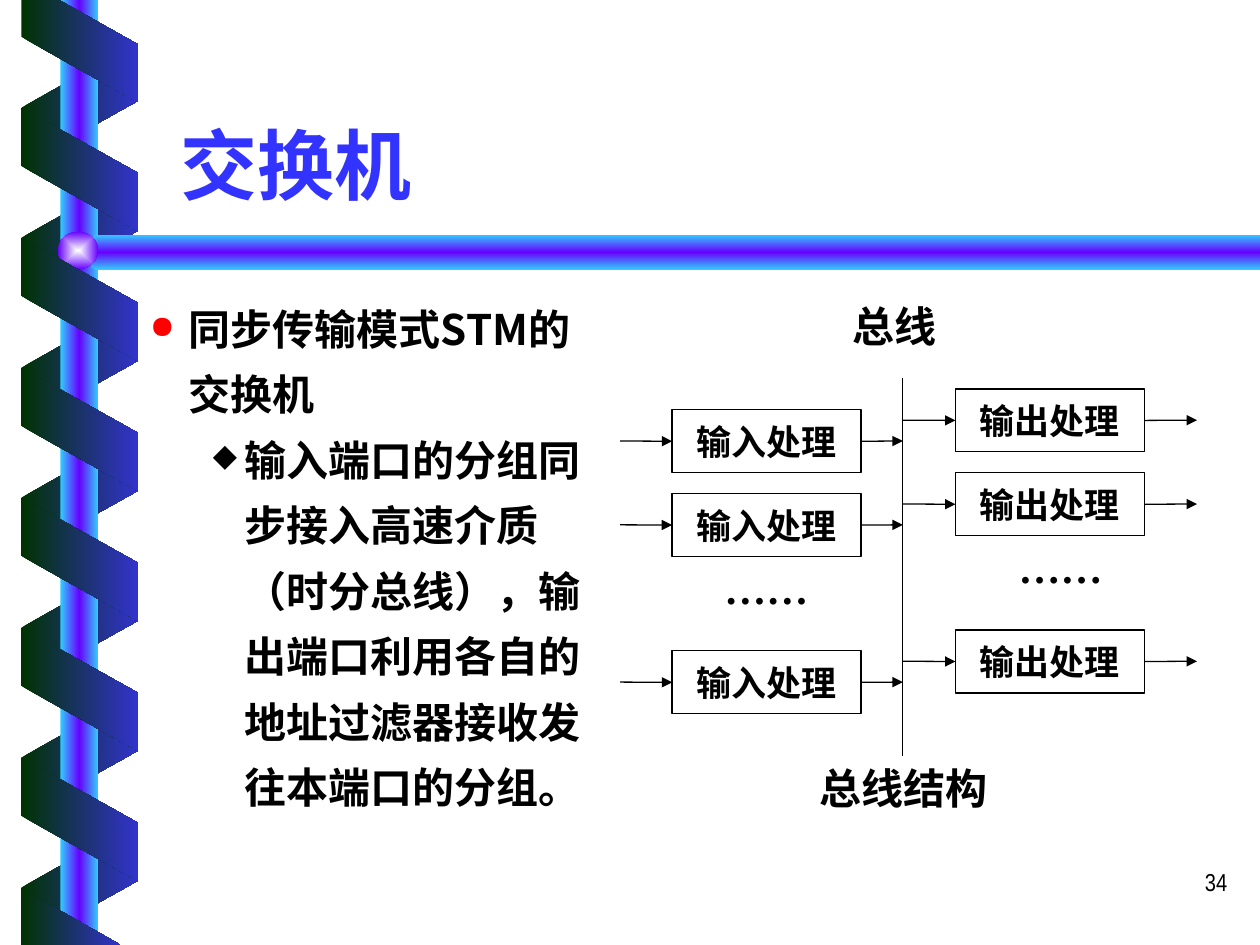
"""Build the slide on the bus structure of a synchronous switch."""
from lxml import etree
from pptx import Presentation
from pptx.dml.color import RGBColor
from pptx.enum.shapes import MSO_CONNECTOR, MSO_SHAPE
from pptx.enum.text import MSO_ANCHOR, PP_ALIGN
from pptx.oxml.ns import qn
from pptx.util import Cm, Pt

RECT, OVAL, PARA = MSO_SHAPE.RECTANGLE, MSO_SHAPE.OVAL, MSO_SHAPE.PARALLELOGRAM
STRAIGHT = MSO_CONNECTOR.STRAIGHT
LEFT, CENTER, RIGHT = PP_ALIGN.LEFT, PP_ALIGN.CENTER, PP_ALIGN.RIGHT
TOP, MIDDLE, BOTTOM = MSO_ANCHOR.TOP, MSO_ANCHOR.MIDDLE, MSO_ANCHOR.BOTTOM

COLORS = {
    "title": "3333FF", "text": "000000", "bullet": "FF0000",
    "green": "003300", "blue": "3333CC", "cyan": "33CCFF",
    "violet": "6600FF", "glow": "FEFFFF",
}
SANS, SERIF, NARROW = "Noto Sans CJK SC", "Times New Roman", "Arial Narrow"
RIBBON = ("green", "blue")
TUBE = ("cyan", "violet", "cyan")


def sub(parent, tag, **attrs):
    """Append a child element with the given attributes."""
    e = etree.SubElement(parent, qn(tag))
    for key, value in attrs.items():
        e.set(key, str(value))
    return e


class Deck:
    """Holds the style and the current slide."""

    def __init__(self):
        self.prs = Presentation()
        self.prs.slide_width, self.prs.slide_height = Cm(25.4), Cm(19.05)
        self.slide = self.prs.slides.add_slide(self.prs.slide_layouts[5])
        self.shapes = self.slide.shapes

    def color(self, name):
        return RGBColor.from_string(COLORS[name])

    def gradient(self, s, names, angle=None):
        """Fill a shape with evenly spaced colours, from its centre if no angle is given."""
        s.shadow.inherit = False
        s.line.fill.background()
        s.fill.background()
        old = s.element.spPr.find(qn("a:noFill"))
        fill = etree.Element(qn("a:gradFill"), rotWithShape="1")
        stops = sub(fill, "a:gsLst")
        for i, name in enumerate(names):
            stop = sub(stops, "a:gs", pos=100000 * i // (len(names) - 1))
            sub(stop, "a:srgbClr", val=COLORS[name])
        if angle is None:
            sub(sub(fill, "a:path", path="rect"), "a:fillToRect",
                l=50000, t=50000, r=50000, b=50000)
        else:
            sub(fill, "a:lin", ang=angle * 60000, scaled=0)
        old.getparent().replace(old, fill)

    def solid(self, kind, x, y, w, h, names, angle=None):
        s = self.shapes.add_shape(kind, Cm(x), Cm(y), Cm(w), Cm(h))
        self.gradient(s, names, angle)
        return s

    def ribbon(self, y, front):
        """Add one turn of the spiral, in front of the pole or behind it."""
        s = self.solid(PARA, 0.36, y, 2.49, 2.35, RIBBON, 90 if front else 270)
        s.adjustments[0] = 0.56
        s.rotation = 270 if front else 90
        if not front:
            s.element.spPr.find(qn("a:xfrm")).set("flipH", "1")

    def outline(self, points, names, angle):
        pts = [(Cm(x), Cm(y)) for x, y in points]
        fb = self.shapes.build_freeform(*pts[0])
        fb.add_line_segments(pts[1:])
        self.gradient(fb.convert_to_shape(), names, angle)

    def run(self, p, text, size, font=SERIF, color="text", bold=True):
        r = p.add_run()
        r.text = text
        r.font.size, r.font.bold, r.font.name = Pt(size), bold, font
        r.font.color.rgb = self.color(color)
        sub(r.font._element, "a:ea", typeface=SANS)

    def title(self, text, x, y, w, h):
        s = self.shapes.title
        s.left, s.top, s.width, s.height = Cm(x), Cm(y), Cm(w), Cm(h)
        tf = s.text_frame
        tf.vertical_anchor = BOTTOM
        p = tf.paragraphs[0]
        p.alignment = LEFT
        self.run(p, text, 44, SANS, "title")

    def textbox(self, x, y, w, h):
        tf = self.shapes.add_textbox(Cm(x), Cm(y), Cm(w), Cm(h)).text_frame
        tf.word_wrap = True
        tf.vertical_anchor = TOP
        return tf

    def label(self, text, x, y, w, h=1.27, align=CENTER, size=24, font=SERIF, bold=True):
        p = self.textbox(x, y, w, h).paragraphs[0]
        p.alignment = align
        self.run(p, text, size, font, bold=bold)

    def bullets(self, items, x, y, w, h):
        tf = self.textbox(x, y, w, h)
        for i, (text, char, color, font, margin, hang) in enumerate(items):
            p = tf.add_paragraph() if i else tf.paragraphs[0]
            p.level = i
            p.line_spacing = Pt(37.4)
            pPr = p._p.get_or_add_pPr()
            pPr.set("marL", str(Cm(margin)))
            pPr.set("indent", str(-Cm(hang)))
            sub(sub(pPr, "a:buClr"), "a:srgbClr", val=COLORS[color])
            sub(pPr, "a:buSzPct", val=75000)
            sub(pPr, "a:buChar", char=char)
            self.run(p, text, 24, font)

    def box(self, text, x, y, w=3.81, h=1.27):
        s = self.shapes.add_shape(RECT, Cm(x), Cm(y), Cm(w), Cm(h))
        s.shadow.inherit = False
        s.fill.background()
        s.line.color.rgb, s.line.width = self.color("text"), Pt(0.75)
        tf = s.text_frame
        tf.word_wrap = False
        tf.margin_left = tf.margin_right = 0
        tf.vertical_anchor = MIDDLE
        p = tf.paragraphs[0]
        p.alignment = CENTER
        self.run(p, text, 20)
        return s

    def line(self, x1, y1, x2, y2, start=None, end=None, arrow=True):
        """Add a line, joined to the right side of start or the left side of end."""
        c = self.shapes.add_connector(STRAIGHT, Cm(x1), Cm(y1), Cm(x2), Cm(y2))
        c.line.color.rgb, c.line.width = self.color("text"), Pt(0.75)
        spPr = c.element.spPr
        if arrow:
            sub(spPr.find(qn("a:ln")), "a:tailEnd", type="triangle")
        sub(spPr, "a:effectLst")
        if start is not None:
            c.begin_connect(start, 3)
        if end is not None:
            c.end_connect(end, 1)

    def stage(self, text, x, y, x_from, x_to):
        """Add a processing box with an arrow into it and one out of it."""
        s = self.box(text, x, y)
        mid = y + 0.63
        self.line(x_from, mid, x, mid, end=s)
        self.line(x + 3.81, mid, x_to, mid, start=s)


def main():
    d = Deck()
    pitch = 2.62
    for i in range(7):
        d.ribbon(0.93 + pitch * i, front=False)
    d.solid(RECT, 1.22, 0, 0.76, 19.05, TUBE, 0)
    d.outline([(25.4, 4.73), (1.93, 4.73), (1.52, 5.08), (1.93, 5.44), (25.4, 5.44)],
              TUBE, 90)
    d.solid(OVAL, 1.17, 4.67, 0.81, 0.76, ("glow", "violet"))
    for i in range(6):
        d.ribbon(2.24 + pitch * i, front=True)
    d.outline([(0.43, 0), (0.43, 0.74), (2.77, 2.06), (2.77, 0.89), (1.19, 0)], RIBBON, 0)
    d.outline([(2.43, 19.05), (0.43, 17.91), (0.43, 19.05)], RIBBON, 0)

    d.title("交换机", 3.38, 1.17, 21.59, 3.18)
    d.bullets([
        ("同步传输模式STM的交换机", "●", "bullet", SANS, 2.06, 0.79),
        ("输入端口的分组同步接入高速介质（时分总线），输出端口利用各自的地址过滤器接收发往本端口的分组。",
         "◆", "text", SERIF, 3.18, 0.64),
    ], 1.5, 5.69, 10.59, 11.43)

    bus, rise = 18.2, 0.42
    d.line(bus, 7.62, bus, 15.24, arrow=False)
    for y in (8.26, 9.95, 13.12):
        d.stage("输入处理", 13.55, y, 12.5, bus)
        d.stage("输出处理", 19.26, y - rise, bus, 24.13)
    for x, y in ((13.97, 11.22), (19.9, 11.22 - rise)):
        d.label("……", x, y, 2.96)
    d.label("总线", 16.93, 5.93, 2.54, align=LEFT)
    d.label("总线结构", 15.88, 15.24, 4.66)
    d.label("34", 19.71, 17.35, 5.28, align=RIGHT, size=14, font=NARROW, bold=False)
    d.prs.save("out.pptx")


if __name__ == "__main__":
    main()
